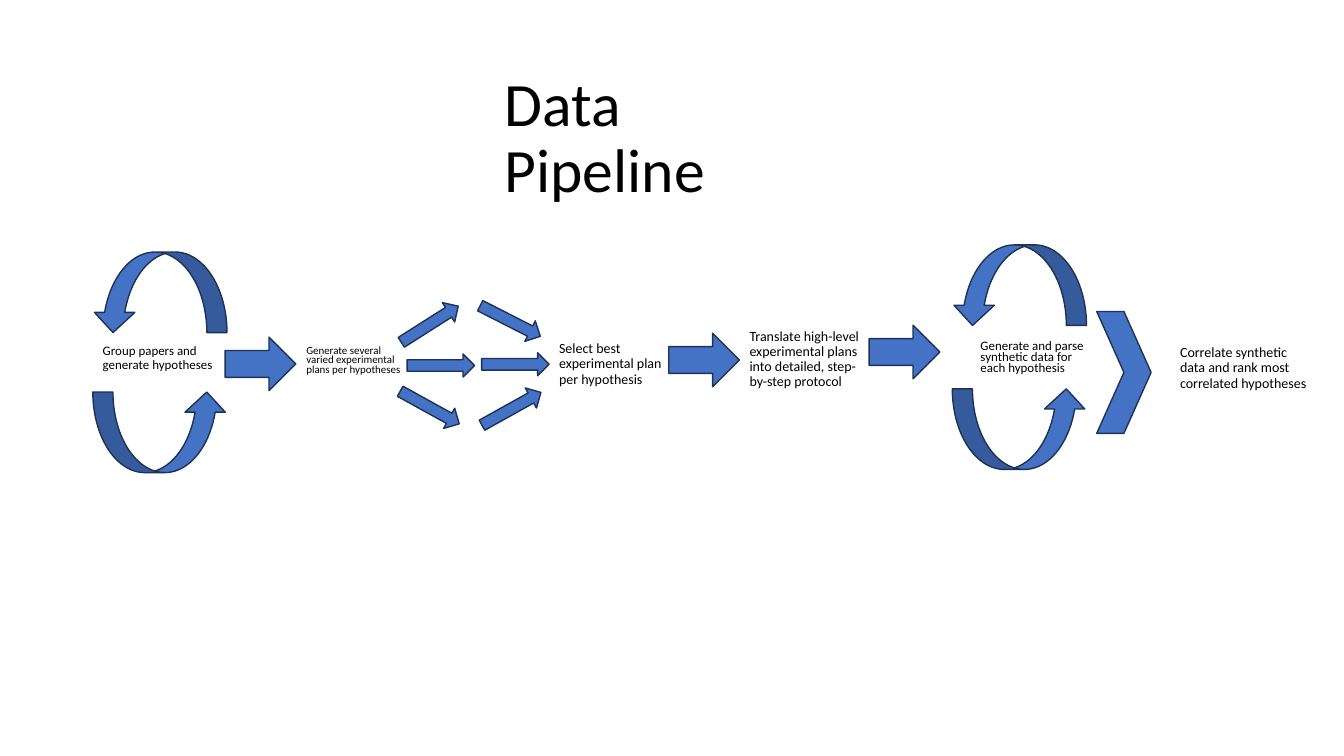
"""Build the Data Pipeline slide: a row of steps joined by arrows."""
from pptx import Presentation
from pptx import util as u
from pptx.dml.color import RGBColor
from pptx.enum import shapes, text

BLUE = RGBColor(0x44, 0x72, 0xC4)
NAVY = RGBColor(0x1E, 0x32, 0x56)
BLACK = RGBColor(0, 0, 0)
KIND = shapes.MSO_SHAPE

deck = Presentation()
deck.slide_width, deck.slide_height = u.Cm(33.87), u.Cm(19.05)
slide = deck.slides.add_slide(deck.slide_layouts[6])


def add_arrow(kind, left, top, width, height, rotation=0):
    arrow = slide.shapes.add_shape(kind, u.Cm(left), u.Cm(top), u.Cm(width), u.Cm(height))
    arrow.rotation = rotation
    arrow.shadow.inherit = False
    arrow.fill.solid()
    arrow.fill.fore_color.rgb = BLUE
    arrow.line.color.rgb = NAVY
    arrow.line.width = u.Pt(1)


def add_label(wording, left, top, width, height, size, spacing=0.9):
    label = slide.shapes.add_textbox(u.Cm(left), u.Cm(top), u.Cm(width), u.Cm(height))
    frame = label.text_frame
    frame.word_wrap = True
    frame.vertical_anchor = text.MSO_ANCHOR.MIDDLE
    paragraph = frame.paragraphs[0]
    paragraph.text = wording
    paragraph.line_spacing = spacing
    paragraph.font.name = "Calibri"
    paragraph.font.size = u.Pt(size)
    paragraph.font.color.rgb = BLACK
    return frame


title = add_label("Data Pipeline", 12.47, 1.75, 8.76, 3.53, 44)
title.margin_right = u.Cm(0.6)

for left, upper, lower in [(2.34, 6.35, 9.88), (24, 6.17, 9.8)]:
    add_arrow(KIND.CURVED_UP_ARROW, left, upper, 3.38, 2.03, 180)
    add_arrow(KIND.CURVED_UP_ARROW, left, lower, 3.38, 2.03)

for left, top in [(5.89, 8.28), (17.07, 8.18), (22.12, 7.98)]:
    add_arrow(KIND.DOWN_ARROW, left, top, 1.35, 1.78, 270)

fan_out = [(10.54, 7.32, 237.6), (10.82, 8.36, 270), (10.54, 9.42, 298.9)]
fan_in = [(12.57, 7.24, 297), (12.7, 8.33, 270), (12.6, 9.45, 240.9)]
for left, top, rotation in fan_out + fan_in:
    add_arrow(KIND.DOWN_ARROW, left, top, 0.58, 1.7, rotation)

add_arrow(KIND.CHEVRON, 27.64, 7.85, 1.37, 3.07)

steps = [
    ("Group papers and generate hypotheses", 2.34, 8.46, 3.38, 1.12, 9.2, 0.9),
    ("Generate several varied experimental plans per hypotheses", 7.47, 8.48, 3.07, 1.24, 7.8, 0.7),
    ("Select best experimental plan per hypothesis", 13.84, 8.13, 3.38, 2.11, 10, 0.9),
    ("Translate high-level experimental plans into detailed, step-by-step protocol",
     18.64, 8, 3.38, 2.11, 10, 0.9),
    ("Generate and parse synthetic data for each hypothesis", 24.46, 8.46, 3.38, 1.12, 9.2, 0.7),
    ("Correlate synthetic data and rank most correlated hypotheses",
     29.49, 8.03, 3.68, 2.51, 10, 0.9),
]
for step in steps:
    add_label(*step)

deck.save("out.pptx")
